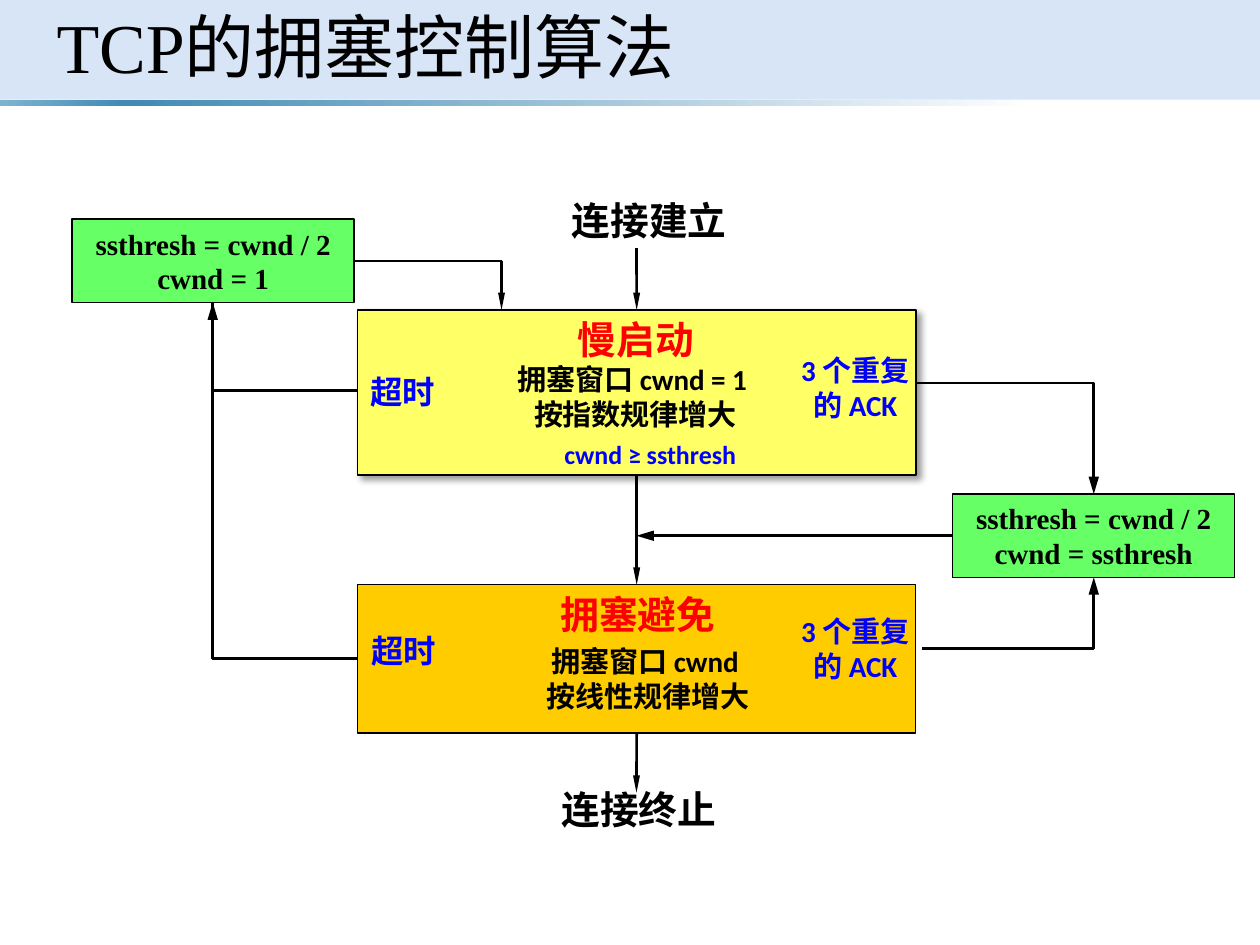
from dataclasses import dataclass

from lxml.etree import SubElement
from pptx import Presentation
from pptx.dml.color import RGBColor
from pptx.enum.shapes import MSO_CONNECTOR, MSO_SHAPE
from pptx.enum.text import MSO_ANCHOR, MSO_AUTO_SIZE, PP_ALIGN
from pptx.oxml.ns import qn
from pptx.util import Cm, Pt


@dataclass(frozen=True)
class Theme:
    black: str = "000000"
    red: str = "FF0000"
    blue: str = "0000FF"
    green: str = "66FF66"
    yellow: str = "FFFF66"
    orange: str = "FFCC00"
    header: str = "C8DAF4"
    bar: tuple = ((0, "7EB3D0"), (10, "418AB3"), (82, "FFFFFF"), (100, "FFFFFF"))
    sans: str = "Calibri"
    serif: str = "Times New Roman"
    title: float = 40
    heading: float = 22.1
    event: float = 18.5
    body: float = 16.6
    small: float = 14.8
    line: float = 1.5


T = Theme()


def rgb(value):
    return RGBColor.from_string(value)


def set_attrs(obj, values):
    for name, value in values.items():
        setattr(obj, name, value)


def add_color(parent, value, alpha=None):
    clr = SubElement(parent, qn("a:srgbClr"), val=value)
    if alpha:
        SubElement(clr, qn("a:alpha"), val=str(alpha * 1000))


def write(sp, lines, size, color=T.black, font=T.sans, bold=True,
          align=PP_ALIGN.LEFT, spacing=None):
    tf = sp.text_frame
    for i, line in enumerate(lines):
        p = tf.paragraphs[0] if i == 0 else tf.add_paragraph()
        set_attrs(p, {"alignment": align, "line_spacing": spacing})
        r = p.add_run()
        r.text = line
        set_attrs(r.font, {"name": font, "size": Pt(size), "bold": bold})
        r.font.color.rgb = rgb(color)


def add_label(s, box, lines, size, wrap=False, **style):
    sp = s.shapes.add_textbox(*map(Cm, box))
    set_attrs(sp.text_frame, {"word_wrap": wrap,
                              "auto_size": MSO_AUTO_SIZE.SHAPE_TO_FIT_TEXT})
    write(sp, lines, size, **style)
    return sp


def add_box(s, box, fill, width=None, kind=MSO_SHAPE.RECTANGLE):
    sp = s.shapes.add_shape(kind, *map(Cm, box))
    sp.shadow.inherit = False
    sp.fill.solid()
    sp.fill.fore_color.rgb = rgb(fill)
    if width:
        sp.line.width = Pt(width)
        sp.line.color.rgb = rgb(T.black)
    else:
        sp.line.fill.background()
    return sp


def add_shadow(sp):
    effects = sp._element.spPr.find(qn("a:effectLst"))
    shadow = SubElement(effects, qn("a:outerShdw"), blurRad=str(Pt(4)),
                        dist=str(Pt(3)), dir="2700000", algn="tl")
    add_color(shadow, T.black, 40)


def add_threshold(s, box, width, window):
    sp = add_box(s, box, T.green, width)
    sp.text_frame.word_wrap = True
    write(sp, ["ssthresh = cwnd / 2", window], T.body, font=T.serif,
          align=PP_ALIGN.CENTER)
    return sp


def add_line(s, start, end, head=None, bent=False, begin=None, finish=None):
    kind = MSO_CONNECTOR.ELBOW if bent else MSO_CONNECTOR.STRAIGHT
    c = s.shapes.add_connector(kind, *map(Cm, start + end))
    if begin:
        c.begin_connect(*begin)
    if finish:
        c.end_connect(*finish)
    c.line.width = Pt(T.line)
    c.line.color.rgb = rgb(T.black)
    spPr = c._element.spPr
    if bent:
        spPr.find(qn("a:prstGeom")).set("prst", "bentConnector2")
    if head:
        SubElement(spPr.find(qn("a:ln")), qn("a:tailEnd"),
                   type="triangle", w=head, len="lg")
    SubElement(spPr, qn("a:effectLst"))


def add_header(s):
    band = add_box(s, (0, 0, 25.4, 2.01), T.header)
    clr = band._element.spPr.find(qn("a:solidFill"))[0]
    SubElement(clr, qn("a:alpha"), val="70000")
    bar = add_box(s, (0, 2.01, 25.4, 0.13), T.header)
    bar.fill.gradient()
    bar.fill.gradient_angle = 0
    stops = bar._element.spPr.find(qn("a:gradFill")).find(qn("a:gsLst"))
    for stop in list(stops):
        stops.remove(stop)
    for pos, color in T.bar:
        add_color(SubElement(stops, qn("a:gs"), pos=str(pos * 1000)), color)
    sp = add_label(s, (0.89, 0, 23.62, 2.06), ["TCP的拥塞控制算法"], T.title,
                   wrap=True, font=T.serif, bold=False, spacing=0.9)
    set_attrs(sp.text_frame, {"auto_size": MSO_AUTO_SIZE.NONE,
                              "vertical_anchor": MSO_ANCHOR.MIDDLE})


def add_lines(s, slow, avoid, restart, recover):
    mid = 12.83
    add_line(s, (mid, 5), (mid, 6.25), "sm", finish=(slow, 0))
    add_line(s, (mid, 9.58), (mid, 11.79), "sm", begin=(slow, 2), finish=(avoid, 0))
    add_line(s, (mid, 14.78), (mid, 15.98), "sm", begin=(avoid, 2))
    add_line(s, (19.2, 10.8), (mid, 10.8), "med", begin=(recover, 1))
    add_line(s, (7.14, 5.26), (10.11, 5.26), begin=(restart, 3))
    add_line(s, (10.11, 5.26), (10.11, 6.25), "sm")
    for start, end, head in [
        ((7.21, 7.87), (4.29, 6.1), "med"),
        ((7.21, 13.28), (4.29, 6.1), None),
        ((18.59, 13.08), (22.05, 11.64), "med"),
        ((18.46, 7.72), (22.05, 9.96), "med"),
    ]:
        add_line(s, start, end, head, bent=True)


def add_labels(s):
    for box, text, size, color in [
        ((11.28, 3.84, 3.68, 1.19), "连接建立", T.heading, T.black),
        ((11.07, 15.72, 3.68, 1.19), "连接终止", T.heading, T.black),
        ((11.4, 6.25, 2.9, 1.19), "慢启动", T.heading, T.red),
        ((11.05, 11.79, 3.68, 1.19), "拥塞避免", T.heading, T.red),
        ((7.21, 7.37, 1.83, 1.04), "超时", T.event, T.blue),
        ((7.24, 12.6, 1.83, 1.04), "超时", T.event, T.blue),
        ((11.13, 8.71, 4.01, 0.89), "cwnd ≥ ssthresh", T.small, T.blue),
    ]:
        add_label(s, box, [text], size, color=color)
    ack = ["3 个重复", "的 ACK"]
    for box, lines, color in [
        ((9.75, 7.16, 6.12, 1.68), ["拥塞窗口 cwnd = 1 ", "按指数规律增大"], T.black),
        ((10.67, 12.85, 4.8, 1.68), ["拥塞窗口 cwnd ", "按线性规律增大"], T.black),
        ((15.88, 6.99, 2.72, 1.68), ack, T.blue),
        ((15.88, 12.24, 2.72, 1.68), ack, T.blue),
    ]:
        add_label(s, box, lines, T.body, wrap=True, color=color,
                  align=PP_ALIGN.CENTER)


def main():
    prs = Presentation()
    set_attrs(prs, {"slide_width": Cm(25.4), "slide_height": Cm(19.05)})
    s = prs.slides.add_slide(prs.slide_layouts[6])
    add_header(s)
    process = MSO_SHAPE.FLOWCHART_PROCESS
    avoid = add_box(s, (7.21, 11.79, 11.25, 2.99), T.orange, 0.75, process)
    restart = add_threshold(s, (1.45, 4.42, 5.69, 1.68), 1, "cwnd = 1")
    recover = add_threshold(s, (19.2, 9.96, 5.69, 1.68), 0.75, "cwnd = ssthresh")
    slow = add_box(s, (7.21, 6.25, 11.25, 3.33), T.yellow, 1, process)
    add_shadow(slow)
    add_lines(s, slow, avoid, restart, recover)
    add_labels(s)
    prs.save("out.pptx")


if __name__ == "__main__":
    main()
